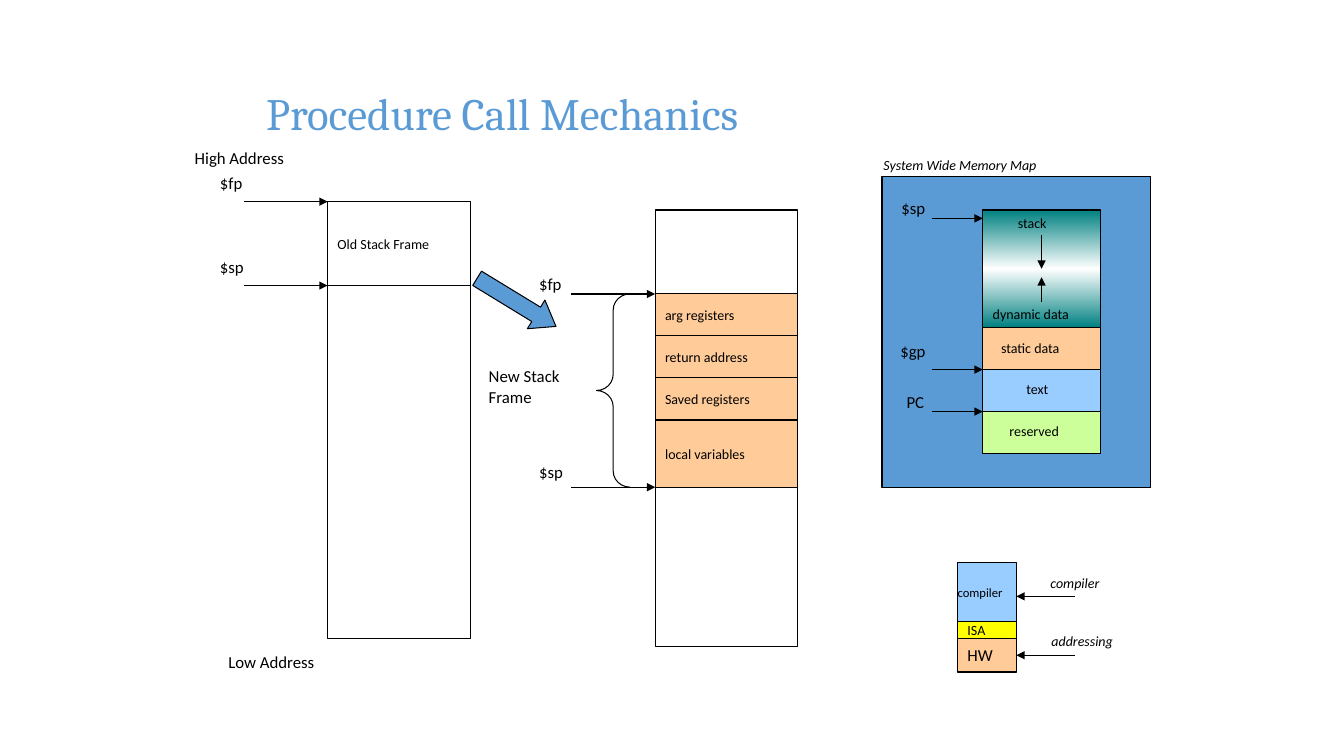
from copy import deepcopy

from lxml.etree import SubElement
from pptx import Presentation
from pptx.dml.color import RGBColor
from pptx.enum.shapes import MSO_CONNECTOR, MSO_SHAPE
from pptx.enum.text import MSO_ANCHOR, MSO_AUTO_SIZE, PP_ALIGN
from pptx.oxml.ns import qn
from pptx.util import Pt

PX = 9525  # 96 px to the inch
BLACK = RGBColor(0x00, 0x00, 0x00)
WHITE = RGBColor(0xFF, 0xFF, 0xFF)
BLUE = RGBColor(0x5B, 0x9B, 0xD5)
LIGHT_BLUE = RGBColor(0x99, 0xCC, 0xFF)
PEACH = RGBColor(0xFF, 0xCC, 0x99)
GREEN = RGBColor(0xCC, 0xFF, 0x99)
YELLOW = RGBColor(0xFF, 0xFF, 0x00)
TEAL = RGBColor(0x00, 0x80, 0x80)
LINE_WIDTH = Pt(0.75)
LABEL_HEIGHT = {10: 26, 12: 29}


def write(frame, lines, size, color=BLACK, font="Calibri", italic=False):
    for index, line in enumerate(lines):
        paragraph = frame.add_paragraph() if index else frame.paragraphs[0]
        paragraph.alignment = PP_ALIGN.LEFT
        run = paragraph.add_run()
        run.text = line
        run.font.size = Pt(size)
        run.font.name = font
        run.font.italic = italic
        run.font.color.rgb = color


def add_block(slide, left, top, width, height, fill=None, text=None, size=10,
              kind=MSO_SHAPE.RECTANGLE):
    shape = slide.shapes.add_shape(kind, left * PX, top * PX, width * PX, height * PX)
    shape.shadow.inherit = False
    shape.line.color.rgb = BLACK
    shape.line.width = LINE_WIDTH
    if fill is None:
        shape.fill.background()
    else:
        shape.fill.solid()
        shape.fill.fore_color.rgb = fill
    if text:
        shape.text_frame.word_wrap = False
        shape.text_frame.vertical_anchor = MSO_ANCHOR.MIDDLE
        write(shape.text_frame, [text], size)
    return shape


def add_label(slide, left, top, width, text, size=12, italic=False):
    box = slide.shapes.add_textbox(left * PX, top * PX, width * PX, LABEL_HEIGHT[size] * PX)
    box.text_frame.word_wrap = False
    box.text_frame.auto_size = MSO_AUTO_SIZE.SHAPE_TO_FIT_TEXT
    write(box.text_frame, [text], size, italic=italic)


def add_arrow(slide, start_x, start_y, end_x, end_y):
    arrow = slide.shapes.add_connector(
        MSO_CONNECTOR.STRAIGHT, start_x * PX, start_y * PX, end_x * PX, end_y * PX)
    arrow.line.color.rgb = BLACK
    arrow.line.width = LINE_WIDTH
    SubElement(arrow.line._get_or_add_ln(), qn("a:tailEnd"), type="triangle")
    SubElement(arrow._element.spPr, qn("a:effectLst"))
    return arrow


def add_title(slide, left, top, width, height):
    title = slide.shapes.add_textbox(left * PX, top * PX, width * PX, height * PX)
    title.text_frame.word_wrap = True
    title.text_frame.vertical_anchor = MSO_ANCHOR.MIDDLE
    write(title.text_frame, ["Procedure Call Mechanics"], 32, BLUE, "Cambria")


def add_old_stack(slide, left, top, width):
    frame_height = 80
    add_block(slide, left, top, width, frame_height, text="Old Stack Frame")
    add_block(slide, left, top + frame_height, width, 336)
    for name, offset in (("$fp", 0), ("$sp", frame_height)):
        add_arrow(slide, left - 80, top + offset, left, top + offset)
        add_label(slide, left - 112, top + offset - 32, 42, name)
    add_label(slide, left - 136, top - 56, 106, "High Address")
    add_label(slide, left - 104, top + 424, 103, "Low Address")


def add_new_stack(slide, left, top, width):
    frame_top = top + 80
    add_block(slide, left, frame_top, width, 336)
    add_block(slide, left, top, width, 80)
    # Slots of the new frame
    bottom = frame_top
    for text, height in (("arg registers", 40), ("return address", 40),
                         ("Saved registers", 40), ("local variables", 64)):
        add_block(slide, left, bottom, width, height, PEACH, text)
        bottom += height
    # Pointers and brace
    for name, y, rise in (("$fp", frame_top, 24), ("$sp", bottom, 29)):
        add_arrow(slide, left - 80, y, left, y)
        add_label(slide, left - 120, y - rise, 42, name)
    brace = add_block(slide, left - 56, frame_top, 32, bottom - frame_top,
                      kind=MSO_SHAPE.LEFT_BRACE)
    brace.adjustments[0] = 0.48
    caption = slide.shapes.add_textbox(
        (left - 168) * PX, (frame_top + 64) * PX, 112 * PX, 48 * PX)
    caption.text_frame.word_wrap = True
    write(caption.text_frame, ["New Stack", "Frame"], 12)


def add_frame_arrow(slide, left, top, width, height):
    arrow = add_block(slide, left, top, width, height, BLUE, kind=MSO_SHAPE.RIGHT_ARROW)
    arrow.adjustments[1] = 0.69
    arrow.rotation = 31.4


def shade_three_ways(shape, edge, middle):
    fill = shape.fill
    fill.gradient()
    fill.gradient_angle = 90
    first = fill.gradient_stops[0]._gs
    first.addnext(deepcopy(first))
    for stop, color, position in zip(fill.gradient_stops, (edge, middle, edge), (0, 0.5, 1)):
        stop.color.rgb = color
        stop.position = position


def add_memory_map(slide, left, top, width, height):
    add_block(slide, left, top, width, height, BLUE)
    add_label(slide, left - 8, top - 24, 167, "System Wide Memory Map", 10, True)
    # Memory segments
    column, column_top = left + 96, top + 32
    segments_top = column_top + 112
    dynamic = add_block(slide, column, column_top, 112, 112)
    shade_three_ways(dynamic, TEAL, WHITE)
    for index, fill in enumerate((PEACH, LIGHT_BLUE, GREEN)):
        add_block(slide, column, segments_top + 40 * index, 112, 40, fill)
    for text, x, y, text_width in (
            ("stack", 24, 0, 47), ("dynamic data", 0, 86, 93), ("static data", 8, 119, 76),
            ("text", 32, 158, 41), ("reserved", 16, 198, 67)):
        add_label(slide, column + x, column_top + y, text_width, text, 10)
    # Growth directions
    for start, end in ((24, 56), (88, 64)):
        add_arrow(slide, column + 56, column_top + start, column + 56, column_top + end)
    # Pointers
    for name, y, x, rise, text_width in (
            ("$sp", 8, 9, 24, 42), ("$gp", 152, 8, 32, 43), ("PC", 192, 14, 24, 36)):
        add_arrow(slide, column - 48, column_top + y, column, column_top + y)
        add_label(slide, left + x, column_top + y - rise, text_width, name)


def add_layers(slide, left, top, width):
    compiler = add_block(slide, left, top, width, 56, LIGHT_BLUE, "compiler", 9)
    compiler.text_frame.margin_left = 0
    add_block(slide, left, top + 56, width, 16, YELLOW, "ISA")
    hardware = add_block(slide, left, top + 72, width, 32, PEACH, "HW", 12)
    right = left + width
    add_arrow(slide, right + 56, top + 32, right, top + 32)
    addressing = add_arrow(slide, right + 56, top + 88, right, top + 88)
    addressing.end_connect(hardware, 3)
    add_label(slide, right + 23, top + 6, 66, "compiler", 10, True)
    add_label(slide, right + 24, top + 62, 79, "addressing", 10, True)


def main():
    presentation = Presentation()
    presentation.slide_width = 1280 * PX
    presentation.slide_height = 720 * PX
    slide = presentation.slides.add_slide(presentation.slide_layouts[6])
    add_title(slide, 244, 38, 948, 139)
    add_old_stack(slide, 312, 192, 136)
    add_new_stack(slide, 624, 200, 136)
    add_memory_map(slide, 840, 168, 256, 296)
    add_layers(slide, 912, 536, 56)
    add_frame_arrow(slide, 448, 272, 88, 32)
    presentation.save("out.pptx")


if __name__ == "__main__":
    main()
